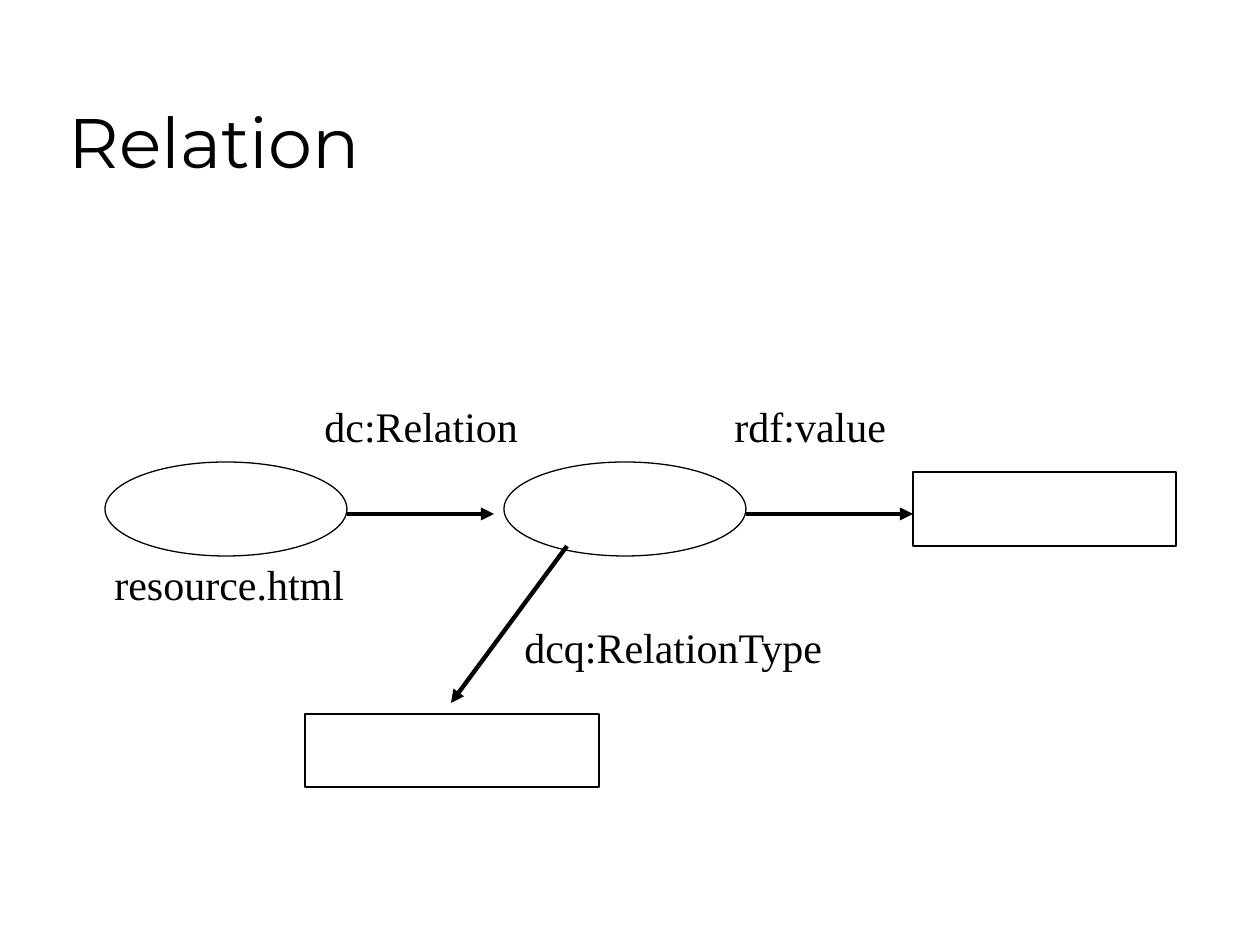
from lxml import etree
from pptx import Presentation
from pptx.dml.color import RGBColor
from pptx.enum.shapes import MSO_CONNECTOR, MSO_SHAPE
from pptx.enum.text import MSO_ANCHOR, MSO_AUTO_SIZE, PP_ALIGN
from pptx.oxml.ns import qn
from pptx.util import Emu, Pt

BLACK = RGBColor(0x00, 0x00, 0x00)
ELLIPSE, RECTANGLE = MSO_SHAPE.OVAL, MSO_SHAPE.RECTANGLE
STRAIGHT = MSO_CONNECTOR.STRAIGHT
BOTTOM, TOP = MSO_ANCHOR.BOTTOM, MSO_ANCHOR.TOP
LEFT = PP_ALIGN.LEFT
FIT_SHAPE, FIXED = MSO_AUTO_SIZE.SHAPE_TO_FIT_TEXT, MSO_AUTO_SIZE.NONE


def px(*lengths):
    """Turn lengths at 126 px to the inch into EMU."""
    return [Emu(round(length * 914400 / 126)) for length in lengths]


def write(holder, text, font="Times New Roman", size=24, anchor=TOP,
          wrap=False, fit=FIT_SHAPE):
    frame = holder.text_frame
    frame.word_wrap = wrap
    frame.auto_size = fit
    frame.vertical_anchor = anchor
    paragraph = frame.paragraphs[0]
    paragraph.alignment = LEFT
    run = paragraph.add_run()
    run.text = text
    run.font.name = font
    run.font.size = Pt(size)
    run.font.color.rgb = BLACK


prs = Presentation()
prs.slide_width, prs.slide_height = px(1260, 945)
slide = prs.slides.add_slide(prs.slide_layouts[5])
shapes = slide.shapes

# Title
title = shapes.title
title.left, title.top, title.width, title.height = px(56, 32, 1071, 157)
write(title, "Relation", font="Montserrat", size=40, anchor=BOTTOM,
      wrap=True, fit=FIXED)

# Graph nodes: resources are ellipses, literal values are rectangles
nodes = [
    (ELLIPSE, 105, 462, 242, 94),
    (ELLIPSE, 504, 462, 242, 94),
    (RECTANGLE, 913, 472, 263, 74),
    (RECTANGLE, 305, 714, 294, 73),
]
for outline, *box in nodes:
    node = shapes.add_shape(outline, *px(*box))
    node.shadow.inherit = False
    node.fill.background()
    node.line.color.rgb = BLACK
    node.line.width = Pt(0.75)

# Property arrows
arrows = [
    (347, 514, 494, 514),
    (746, 514, 913, 514),
    (567, 546, 451, 703),
]
for ends in arrows:
    arrow = shapes.add_connector(STRAIGHT, *px(*ends))
    arrow.line.color.rgb = BLACK
    arrow.line.width = Pt(2.5)
    etree.SubElement(arrow.line._get_or_add_ln(), qn("a:tailEnd"), type="triangle")
    etree.SubElement(arrow._element.spPr, qn("a:effectLst"))

# Node and property labels
labels = [
    ("resource.html", 102, 552, 258),
    ("dc:Relation", 312, 394, 222),
    ("rdf:value", 722, 394, 180),
    ("dcq:RelationType", 512, 615, 330),
]
for text, left, top, width in labels:
    label = shapes.add_textbox(*px(left, top, width, 63))
    write(label, text)

prs.save("out.pptx")
